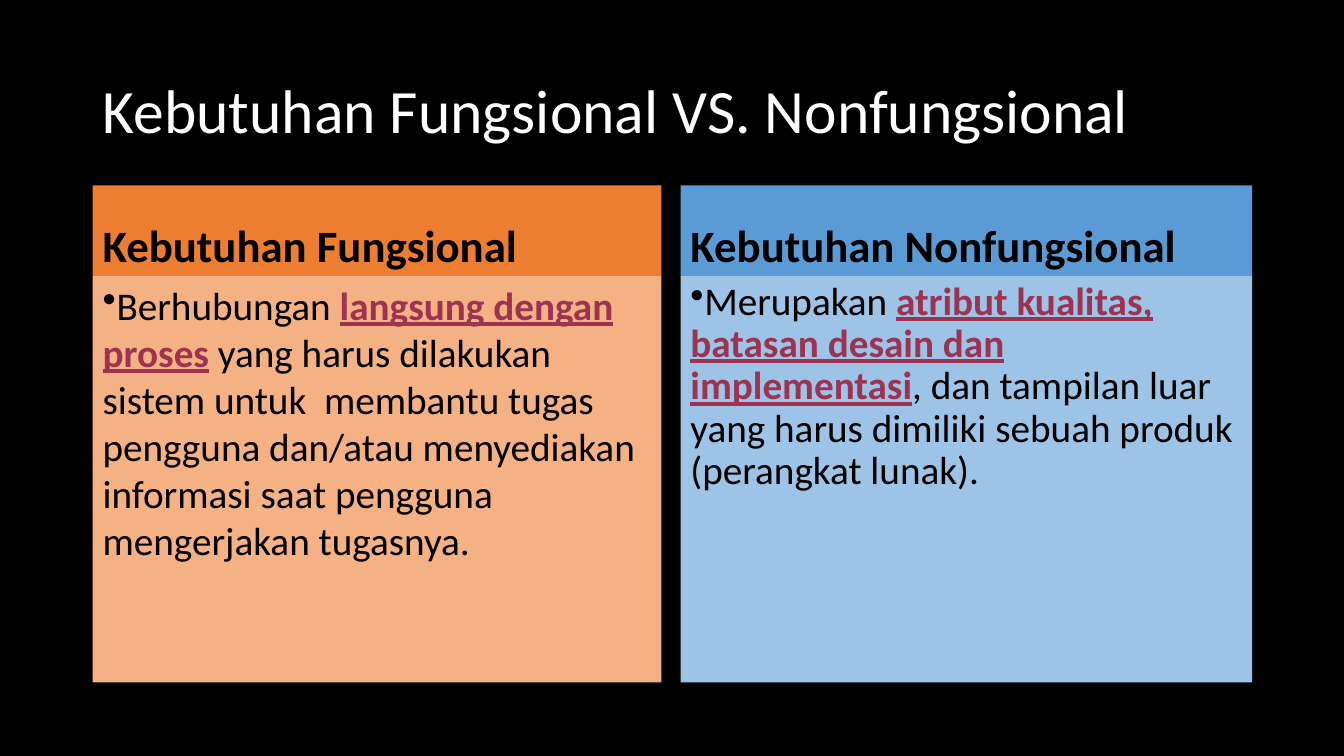
from pptx import Presentation
from pptx.dml.color import RGBColor
from pptx.enum.shapes import MSO_SHAPE as Shape
from pptx.enum.text import MSO_ANCHOR as Anchor, PP_ALIGN as Align
from pptx.oxml.ns import qn
from pptx.util import Inches, Pt
from lxml import etree

BLACK = RGBColor(0x00, 0x00, 0x00)
WHITE = RGBColor(0xFF, 0xFF, 0xFF)
ORANGE = RGBColor(0xED, 0x7D, 0x31)
PEACH = RGBColor(0xF4, 0xB1, 0x83)
BLUE = RGBColor(0x5B, 0x9B, 0xD5)
SKY = RGBColor(0x9D, 0xC3, 0xE6)
WINE = RGBColor(0x9C, 0x33, 0x51)


def style(run, size, color, bold=False):
    run.font.name = "Calibri"
    run.font.size = Pt(size)
    run.font.color.rgb = color
    run.font.bold = bold


def add_panel(left, top, width, height, fill, anchor):
    panel = slide.shapes.add_shape(
        Shape.RECTANGLE, Inches(left), Inches(top), Inches(width), Inches(height))
    panel.shadow.inherit = False
    panel.fill.solid()
    panel.fill.fore_color.rgb = fill
    panel.line.fill.background()
    frame = panel.text_frame
    frame.word_wrap = True
    frame.vertical_anchor = anchor
    para = frame.paragraphs[0]
    para.alignment = Align.LEFT
    return para


# Slide
deck = Presentation()
deck.slide_width = Inches(13.33)
deck.slide_height = Inches(7.5)
slide = deck.slides.add_slide(deck.slide_layouts[6])
slide.background.fill.solid()
slide.background.fill.fore_color.rgb = BLACK

# Title
title = slide.shapes.add_textbox(Inches(0.92), Inches(0.4), Inches(11.5), Inches(1.45))
frame = title.text_frame
frame.word_wrap = True
frame.vertical_anchor = Anchor.MIDDLE
frame.text = "Kebutuhan Fungsional VS. Nonfungsional"
frame.paragraphs[0].line_spacing = 0.9
style(frame.paragraphs[0].runs[0], 44, WHITE)

# Columns: left, width, head fill, body fill, line spacing, heading, body parts
columns = [
    (0.92, 5.64, ORANGE, PEACH, 1.0, "Kebutuhan Fungsional",
     ("Berhubungan ", "langsung dengan proses",
      " yang harus dilakukan sistem untuk  membantu tugas pengguna dan/atau "
      "menyediakan informasi saat pengguna  mengerjakan tugasnya.")),
    (6.75, 5.67, BLUE, SKY, 0.9, "Kebutuhan Nonfungsional",
     ("Merupakan ", "atribut kualitas, batasan desain dan implementasi",
      ", dan tampilan luar yang harus dimiliki sebuah produk (perangkat lunak).")),
]
for left, width, dark, light, spacing, heading, parts in columns:
    # Heading
    para = add_panel(left, 1.84, width, 0.9, dark, Anchor.BOTTOM)
    para.text = heading
    style(para.runs[0], 32, BLACK, True)

    # Body with a bullet and a marked middle part
    para = add_panel(left, 2.74, width, 4.03, light, Anchor.TOP)
    para.line_spacing = spacing
    bullet = etree.SubElement(para._p.get_or_add_pPr(), qn("a:buChar"))
    bullet.set("char", "•")
    for part in parts:
        run = para.add_run()
        run.text = part
        style(run, 28, BLACK)
    key = para.runs[1]
    style(key, 28, WINE, True)
    key.font.underline = True

deck.save("out.pptx")
